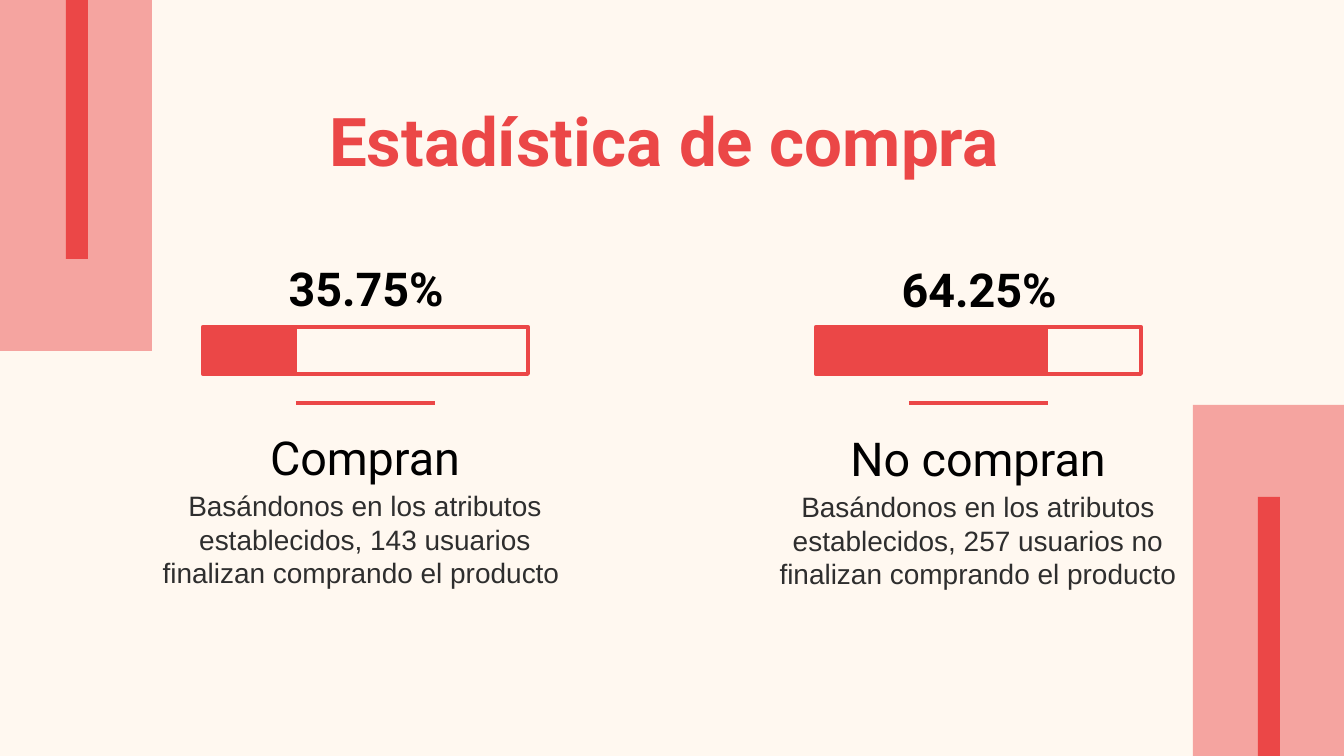
from lxml import etree
from pptx import Presentation
from pptx.dml.color import RGBColor
from pptx.enum.shapes import MSO_CONNECTOR, MSO_SHAPE
from pptx.enum.text import MSO_ANCHOR, PP_ALIGN
from pptx.oxml.ns import qn
from pptx.util import Emu, Pt

RECTANGLE = MSO_SHAPE.RECTANGLE
STRAIGHT = MSO_CONNECTOR.STRAIGHT
CENTER = PP_ALIGN.CENTER
MIDDLE = MSO_ANCHOR.MIDDLE

RED, CREAM, BLACK, GRAY = "EB4747", "FFF8F0", "000000", "2E2E2E"
HEADING_FONT, BODY_FONT = "Roboto", "Arial"
WIDTH, HEIGHT = 1344, 756
COLUMN_STEP = 613


def px(length):
    return Emu(round(length * 914400 / 134.4))


def color(value):
    return RGBColor.from_string(value)


class SlideBuilder:
    def __init__(self, slide):
        self.slide = slide
        slide.background.fill.solid()
        slide.background.fill.fore_color.rgb = color(CREAM)

    def rectangle(self, left, top, width, height, fill=None, line_width=None, opacity=None):
        shape = self.slide.shapes.add_shape(
            RECTANGLE, px(left), px(top), px(width), px(height))
        shape.shadow.inherit = False
        if fill:
            shape.fill.solid()
            shape.fill.fore_color.rgb = color(fill)
        else:
            shape.fill.background()
        if line_width:
            shape.line.color.rgb = color(RED)
            shape.line.width = Pt(line_width)
        else:
            shape.line.fill.background()
        if opacity:
            fill_color = shape.fill._xPr.find(qn("a:solidFill"))[0]
            etree.SubElement(fill_color, qn("a:alpha"), val=str(opacity * 1000))

    def line(self, start, end, y):
        connector = self.slide.shapes.add_connector(
            STRAIGHT, px(start), px(y), px(end), px(y))
        connector.line.color.rgb = color(RED)
        connector.line.width = Pt(2.25)
        etree.SubElement(connector._element.spPr, qn("a:effectLst"))

    def text(self, text, left, top, width, height, size, ink, font=HEADING_FONT, bold=False):
        box = self.slide.shapes.add_textbox(px(left), px(top), px(width), px(height))
        frame = box.text_frame
        frame.word_wrap = True
        frame.vertical_anchor = MIDDLE
        frame.margin_left = frame.margin_right = px(13)
        frame.margin_top = frame.margin_bottom = px(13)
        frame.text = text
        paragraph = frame.paragraphs[0]
        paragraph.alignment = CENTER
        for run in paragraph.runs:
            run.font.name = font
            run.font.size = Pt(size)
            run.font.bold = bold
            run.font.color.rgb = color(ink)


def main():
    presentation = Presentation()
    presentation.slide_width, presentation.slide_height = px(WIDTH), px(HEIGHT)
    builder = SlideBuilder(presentation.slides.add_slide(presentation.slide_layouts[6]))

    # Corner panels with their stripes
    for panel_left, panel_top, stripe_left, stripe_top in (
            (1193, 405, 1258, 497), (-1, 0, 66, 0)):
        builder.rectangle(panel_left, panel_top, 153, 351, RED, opacity=47)
        builder.rectangle(stripe_left, stripe_top, 22, 259, RED)

    # Title
    builder.text("Estadística de compra ", 106, 106, 1133, 67, 36, RED, bold=True)

    # One column per outcome: percentage, bar, divider, name, description
    columns = (
        ("35.75%", 184, 93, "Compran",
         "Basándonos en los atributos establecidos, 143 usuarios "
         "finalizan comprando el producto "),
        ("64.25%", 202, 231, "No compran",
         "Basándonos en los atributos establecidos, 257 usuarios no "
         "finalizan comprando el producto"),
    )
    for index, (percentage, box_width, filled, name, description) in enumerate(columns):
        shift = index * COLUMN_STEP
        center = 366 + shift
        builder.text(percentage, center - box_width // 2, 261 + index,
                     box_width, 54, 25, BLACK, bold=True)
        builder.rectangle(203 + shift, 327, 325, 47, line_width=2.25)
        builder.rectangle(203 + shift, 327, filled, 47, RED, line_width=1.5)
        builder.line(296 + shift, 435 + shift, 403)
        builder.text(name, 138 + shift, 430 + index, 454, 54, 25, BLACK)
        builder.text(description, 138 + shift, 489 + index, 454, 100, 15, GRAY, BODY_FONT)

    presentation.save("out.pptx")


if __name__ == "__main__":
    main()
